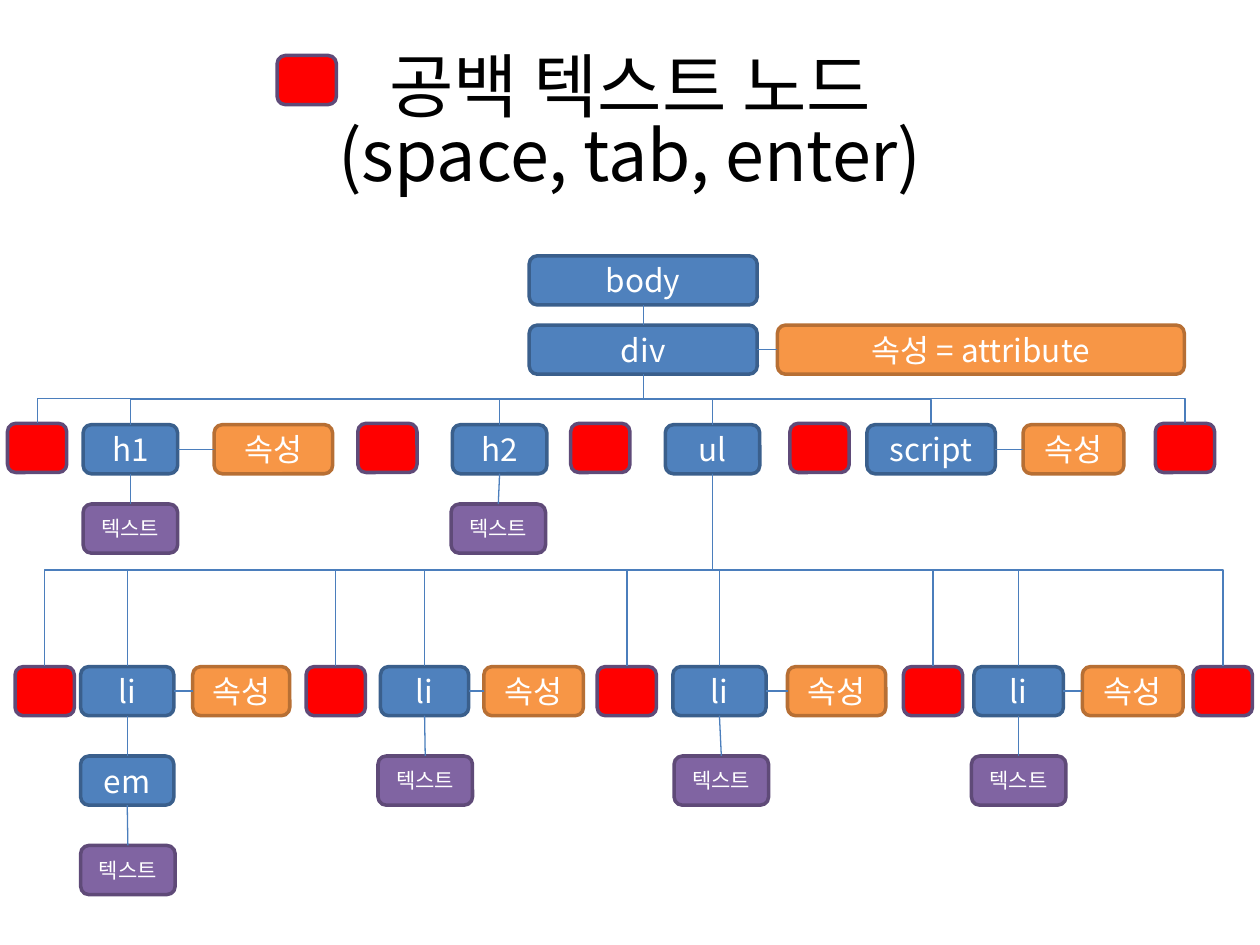
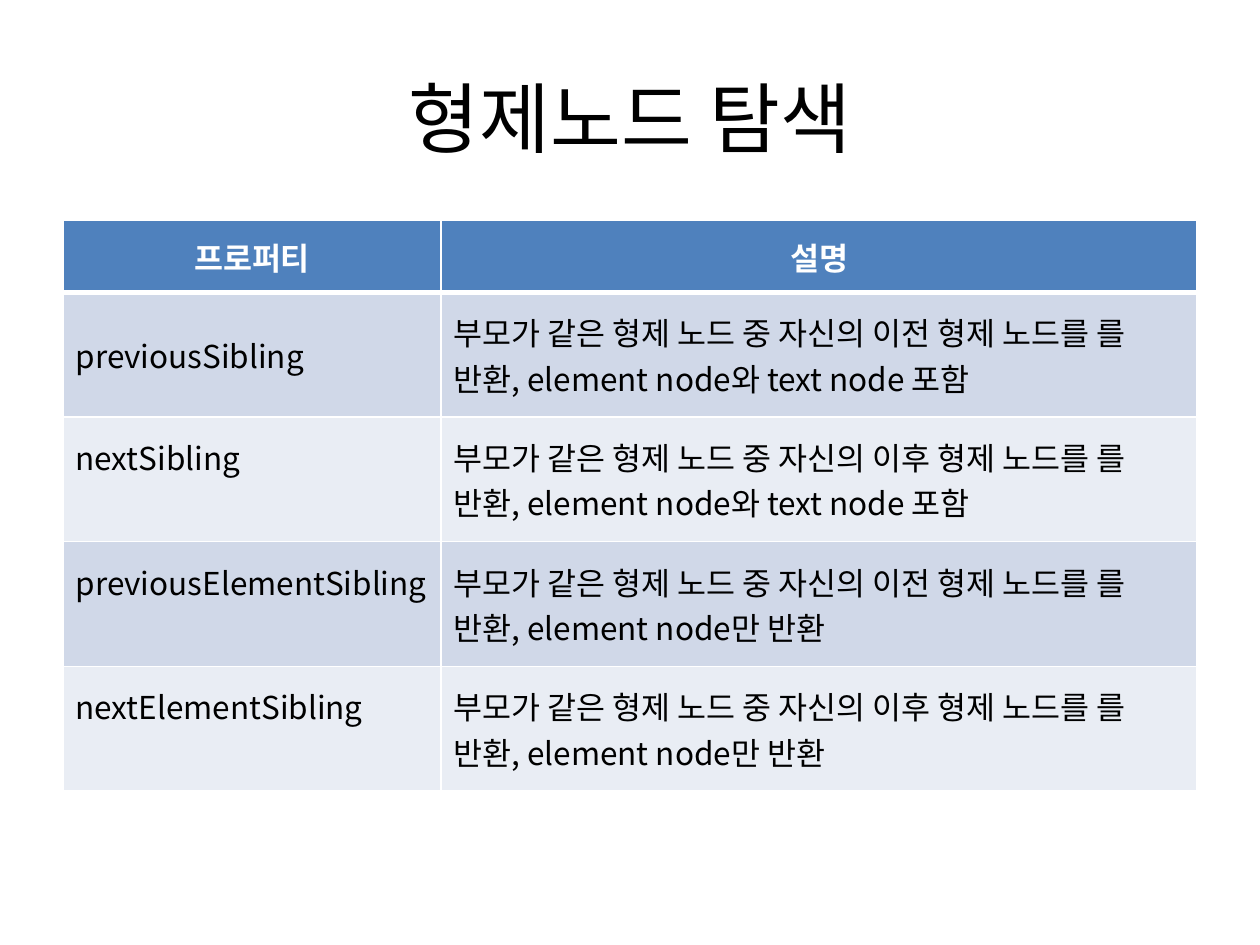
from dataclasses import dataclass

from lxml import etree
from pptx import Presentation
from pptx import util as u
from pptx.dml.color import RGBColor
from pptx.enum import shapes, text
from pptx.oxml import ns

Inches = u.Inches


@dataclass(frozen=True)
class Theme:
    font: str = "Noto Sans CJK KR"
    ink: str = "000000"
    white: str = "FFFFFF"
    branch: str = "4B7EBC"
    header: str = "4F81BD"
    bands: tuple = ("D0D8E8", "E9EDF4")
    title_size: float = 44
    long_title_size: float = 40
    body_size: float = 18
    small_size: float = 12
    node_height: float = 0.39
    blank_width: float = 0.47
    text_width: float = 0.75


THEME = Theme()
NODE_STYLES = {
    "element": ("4F81BD", "3A5F8C", THEME.body_size),
    "attribute": ("F79646", "B76F34", THEME.body_size),
    "text": ("8064A2", "5F4A78", THEME.small_size),
    "blank": ("FF0000", "5F4A78", THEME.body_size),
}
TOP, BOTTOM, LEFT, RIGHT = 0, 2, 1, 3
ATTRIBUTE = "속성"
TEXT = "텍스트"


def rgb(value):
    return RGBColor.from_string(value)


def add_run(paragraph, words, size, color, bold=False):
    run = paragraph.add_run()
    run.text = words
    run.font.size = u.Pt(size)
    run.font.bold = bold
    run.font.name = THEME.font
    run.font.color.rgb = rgb(color)
    east_asian = etree.SubElement(run._r.get_or_add_rPr(), ns.qn("a:ea"))
    east_asian.set("typeface", THEME.font)


def add_title(slide, lines, height, size, spacing=1.0):
    title = slide.shapes.add_textbox(Inches(0.5), Inches(0.3), Inches(9), Inches(height))
    frame = title.text_frame
    frame.word_wrap = True
    frame.vertical_anchor = text.MSO_ANCHOR.MIDDLE
    paragraph = frame.paragraphs[0]
    paragraph.alignment = text.PP_ALIGN.CENTER
    paragraph.line_spacing = spacing
    for index, line in enumerate(lines):
        if index:
            paragraph.add_line_break()
        add_run(paragraph, line, size, THEME.ink)


def add_node(slide, kind, label, x, y, width):
    fill, outline, size = NODE_STYLES[kind]
    node = slide.shapes.add_shape(
        shapes.MSO_SHAPE.ROUNDED_RECTANGLE,
        Inches(x), Inches(y), Inches(width), Inches(THEME.node_height))
    node.shadow.inherit = False
    node.fill.solid()
    node.fill.fore_color.rgb = rgb(fill)
    node.line.color.rgb = rgb(outline)
    node.line.width = u.Pt(2)
    frame = node.text_frame
    frame.word_wrap = True
    frame.margin_top = frame.margin_bottom = 0
    frame.vertical_anchor = text.MSO_ANCHOR.MIDDLE
    paragraph = frame.paragraphs[0]
    paragraph.alignment = text.PP_ALIGN.CENTER
    if label:
        add_run(paragraph, label, size, THEME.white)
    return node


def add_blank(slide, x, y):
    return add_node(slide, "blank", "", x, y, THEME.blank_width)


def link(slide, start, start_site, end, end_site, kind=shapes.MSO_CONNECTOR.STRAIGHT):
    connector = slide.shapes.add_connector(kind, 0, 0, 0, 0)
    connector.begin_connect(start, start_site)
    connector.end_connect(end, end_site)
    connector.line.color.rgb = rgb(THEME.branch)
    connector.line.width = u.Pt(0.75)
    etree.SubElement(connector._element.spPr, ns.qn("a:effectLst"))
    return connector


def link_down(slide, parent, child):
    link(slide, parent, BOTTOM, child, TOP)


def link_across(slide, element, attribute):
    link(slide, element, RIGHT, attribute, LEFT)


def link_branch(slide, parent, child):
    branch = link(slide, parent, BOTTOM, child, TOP, shapes.MSO_CONNECTOR.ELBOW)
    start_x, start_y = branch.begin_x, branch.begin_y
    end_x, end_y = branch.end_x, branch.end_y
    drop, reach = end_y - start_y, abs(end_x - start_x)
    frame = branch._element.spPr.xfrm
    for flip in ("flipH", "flipV"):
        frame.attrib.pop(flip, None)
    branch.left = (start_x + end_x - drop) // 2
    branch.top = (start_y + end_y - reach) // 2
    branch.width, branch.height = drop, reach
    if end_x < start_x:
        frame.set("rot", "5400000")
    else:
        frame.set("rot", "16200000")
        frame.set("flipH", "1")


def add_element(slide, label, x, y, width, attribute=None):
    element = add_node(slide, "element", label, x, y, width)
    if attribute:
        attribute_x, attribute_width = attribute
        link_across(slide, element, add_node(
            slide, "attribute", ATTRIBUTE, attribute_x, y, attribute_width))
    return element


def add_text_child(slide, parent, x, y):
    child = add_node(slide, "text", TEXT, x, y, THEME.text_width)
    link_down(slide, parent, child)


def build_node_tree(slide):
    add_title(slide, ["공백 텍스트 노드", "(space, tab, enter)"], 1.4,
              THEME.long_title_size, 0.83)
    add_blank(slide, 2.2, 0.44)

    body = add_element(slide, "body", 4.2, 2.03, 1.81)
    div = add_element(slide, "div", 4.2, 2.58, 1.81)
    legend = add_node(slide, "attribute", "속성 = attribute", 6.17, 2.58, 3.23)
    link_down(slide, body, div)
    link_across(slide, div, legend)

    child_y, child_text_y = 3.37, 4
    children = {}
    for label, x, width, attribute, text_x in (
            ("h1", 0.66, 0.75, (1.7, 0.94), 0.66),
            ("h2", 3.59, 0.75, None, 3.58),
            ("ul", 5.28, 0.75, None, None),
            ("script", 6.88, 1.02, (8.12, 0.8), None)):
        children[label] = add_element(slide, label, x, child_y, width, attribute)
        link_branch(slide, div, children[label])
        if text_x:
            add_text_child(slide, children[label], text_x, child_text_y)
    blanks = [add_blank(slide, x, 3.36) for x in (0.06, 2.84, 4.53, 6.27, 9.17)]
    for outer_blank in (blanks[0], blanks[-1]):
        link_branch(slide, div, outer_blank)

    item_y, item_child_y, em_text_y = 5.29, 6, 6.71
    for x, width, attribute, text_x in (
            (0.64, 0.74, (1.53, 0.77), None),
            (3.02, 0.7, (3.84, 0.79), 3),
            (5.34, 0.74, (6.25, 0.78), 5.35),
            (7.73, 0.71, (8.59, 0.8), 7.71)):
        item = add_element(slide, "li", x, item_y, width, attribute)
        link_branch(slide, children["ul"], item)
        if text_x:
            add_text_child(slide, item, text_x, item_child_y)
        else:
            em = add_element(slide, "em", x, item_child_y, width)
            link_down(slide, item, em)
            add_text_child(slide, em, x, em_text_y)
    for x in (0.12, 2.43, 4.74, 7.17, 9.47):
        link_branch(slide, children["ul"], add_blank(slide, x, item_y))


def set_borders(cell, top, bottom):
    properties = cell._tc.get_or_add_tcPr()
    widths = {"lnL": 1, "lnR": 1, "lnT": top, "lnB": bottom}
    for index, (side, width) in enumerate(widths.items()):
        border = etree.Element(ns.qn(f"a:{side}"), w=str(u.Pt(width)))
        fill = etree.SubElement(border, ns.qn("a:solidFill"))
        etree.SubElement(fill, ns.qn("a:srgbClr"), val=THEME.white)
        properties.insert(index, border)


def fill_cell(cell, words, row):
    is_header = row == 0
    cell.fill.solid()
    cell.fill.fore_color.rgb = rgb(THEME.header if is_header else THEME.bands[(row - 1) % 2])
    cell.vertical_anchor = text.MSO_ANCHOR.MIDDLE
    set_borders(cell, 3 if row == 1 else 1, 3 if is_header else 1)
    paragraph = cell.text_frame.paragraphs[0]
    if is_header:
        paragraph.alignment = text.PP_ALIGN.CENTER
    add_run(paragraph, words, THEME.body_size,
            THEME.white if is_header else THEME.ink, is_header)


def build_sibling_table(slide):
    add_title(slide, ["형제노드 탐색"], 1.25, THEME.title_size)
    rows = [("프로퍼티", "설명")]
    for scope, suffix in (("", "와 text node 포함"), ("Element", "만 반환")):
        for prefix, direction in (("previous", "이전"), ("next", "이후")):
            rows.append((
                f"{prefix}{scope}Sibling",
                f"부모가 같은 형제 노드 중 자신의 {direction} 형제 노드를 를 반환, "
                f"element node{suffix}"))
    siblings = slide.shapes.add_table(
        len(rows), 2, Inches(0.5), Inches(1.75), Inches(9), Inches(4.53)).table
    for column, width in zip(siblings.columns, (3, 6)):
        column.width = Inches(width)
    for index, words in enumerate(rows):
        siblings.rows[index].height = Inches(0.99 if index else 0.57)
        for column, cell_words in enumerate(words):
            fill_cell(siblings.cell(index, column), cell_words, index)
        if index > 1:
            siblings.cell(index, 0).margin_bottom = Inches(0.41)


def main():
    deck = Presentation()
    deck.slide_width, deck.slide_height = Inches(10), Inches(7.5)
    blank_layout = deck.slide_layouts[6]
    for build in (build_node_tree, build_sibling_table):
        build(deck.slides.add_slide(blank_layout))
    deck.save("out.pptx")


main()
